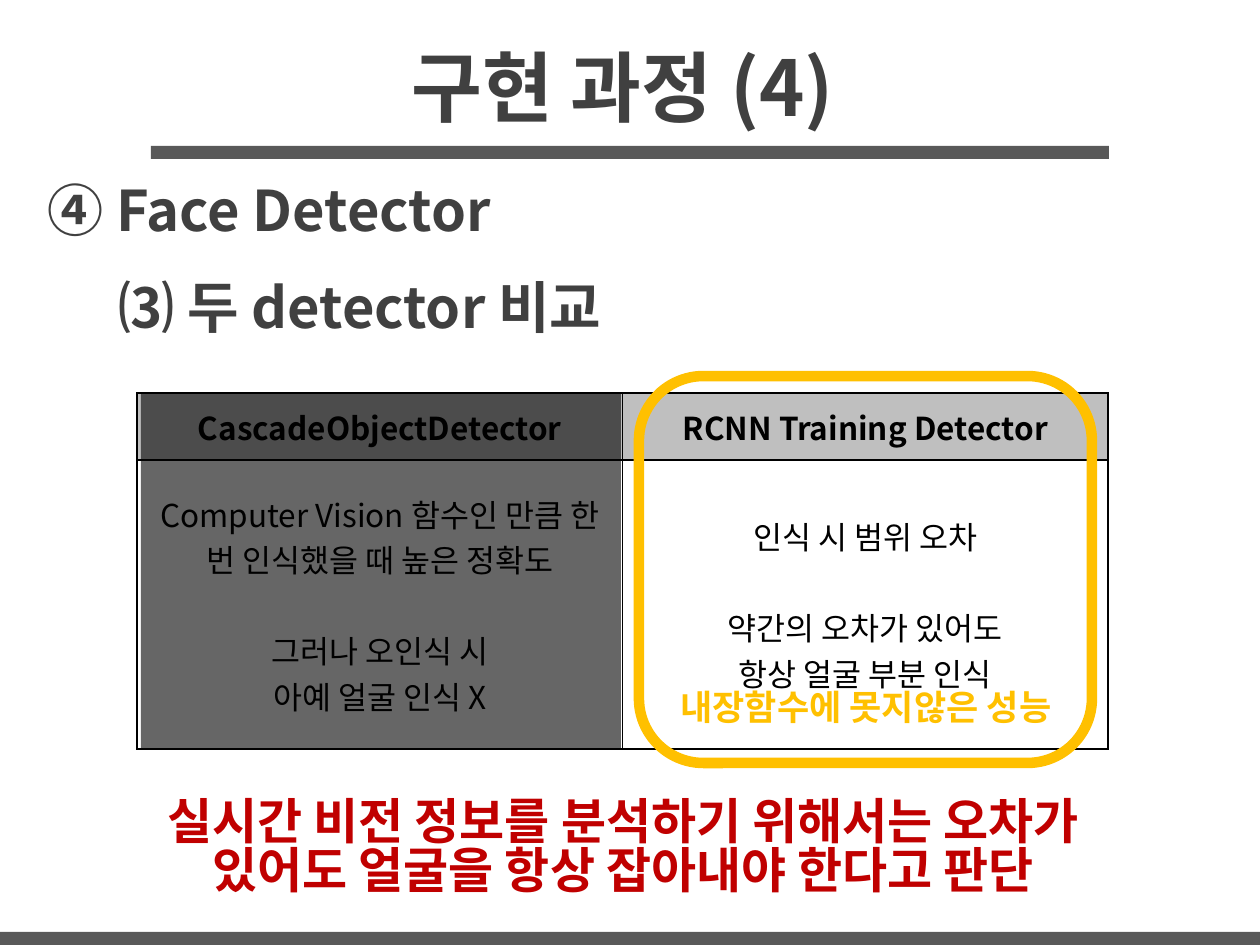
"""Builds the slide that compares two face detectors."""
from lxml import etree
from pptx import Presentation
from pptx.dml.color import RGBColor
from pptx.enum.shapes import MSO_SHAPE
from pptx.enum.text import MSO_ANCHOR, MSO_AUTO_SIZE, PP_ALIGN
from pptx.oxml.ns import qn
from pptx.util import Emu, Pt

SCALE = 914400 / 126
WIDE, HIGH = 1260, 945
FONT = "Noto Sans CJK KR"
RECT, ROUND = MSO_SHAPE.RECTANGLE, MSO_SHAPE.ROUNDED_RECTANGLE
LEFT, CENTER = PP_ALIGN.LEFT, PP_ALIGN.CENTER
MIDDLE = MSO_ANCHOR.MIDDLE
FIXED, GROW = MSO_AUTO_SIZE.NONE, MSO_AUTO_SIZE.SHAPE_TO_FIT_TEXT
BLACK = RGBColor(0x00, 0x00, 0x00)
INK = RGBColor(0x40, 0x40, 0x40)
GRAY = RGBColor(0x59, 0x59, 0x59)
SILVER = RGBColor(0xBF, 0xBF, 0xBF)
RED = RGBColor(0xC0, 0x00, 0x00)
GOLD = RGBColor(0xFF, 0xC0, 0x00)

HEADS = ["CascadeObjectDetector", "RCNN Training Detector"]
NOTES = [
    ["Computer Vision 함수인 만큼 한 번 인식했을 때 높은 정확도",
     "그러나 오인식 시", "아예 얼굴 인식 X"],
    ["인식 시 범위 오차", "약간의 오차가 있어도", "항상 얼굴 부분 인식"],
]


def px(num):
    return Emu(round(num * SCALE))


def write(frame, lines, size=18, color=BLACK, bold=True, align=CENTER,
          lead=None, gaps=None):
    frame.word_wrap = True
    for i, line in enumerate(lines):
        para = frame.paragraphs[0] if i == 0 else frame.add_paragraph()
        para.alignment = align
        para.line_spacing = lead
        if gaps and i in gaps:
            para.space_before = Pt(gaps[i])
        run = para.add_run()
        run.text = line
        font = run.font
        font.size, font.bold, font.name = Pt(size), bold, FONT
        font.color.rgb = color
        etree.SubElement(run._r.get_or_add_rPr(), qn("a:ea"), typeface=FONT)


class Page:
    """Holds the deck and its current slide."""

    def __init__(self):
        self.deck = Presentation()
        self.deck.slide_width, self.deck.slide_height = px(WIDE), px(HIGH)
        self.slide = self.deck.slides.add_slide(self.deck.slide_layouts[5])
        self.shapes = self.slide.shapes

    def title(self, text, x, y, w, h):
        box = self.shapes.title
        box.left, box.top, box.width, box.height = map(px, (x, y, w, h))
        box.text_frame.auto_size = FIXED
        box.text_frame.vertical_anchor = MIDDLE
        write(box.text_frame, [text], size=44, color=INK)

    def text(self, text, x, y, w, h, **style):
        box = self.shapes.add_textbox(*map(px, (x, y, w, h)))
        write(box.text_frame, [text], **style)
        box.text_frame.auto_size = GROW

    def shape(self, kind, x, y, w, h, fill=None, alpha=None, line=None):
        item = self.shapes.add_shape(kind, *map(px, (x, y, w, h)))
        item.shadow.inherit = False
        if fill is None:
            item.fill.background()
        else:
            item.fill.solid()
            item.fill.fore_color.rgb = fill
        if alpha is not None:
            tone = item._element.spPr.find(".//" + qn("a:srgbClr"))
            etree.SubElement(tone, qn("a:alpha"), val=str(alpha * 1000))
        if line is None:
            item.line.fill.background()
        else:
            item.line.color.rgb = line
            item.line.width = Pt(6)

    def edge(self, cell):
        props = cell._tc.get_or_add_tcPr()
        for i, side in enumerate(("lnL", "lnR", "lnT", "lnB")):
            rule = etree.Element(qn("a:" + side), w=str(Pt(1)))
            fill = etree.SubElement(rule, qn("a:solidFill"))
            etree.SubElement(fill, qn("a:srgbClr"), val=str(BLACK))
            props.insert(i, rule)

    def table(self, x, y, w, rows):
        frame = self.shapes.add_table(2, 2, px(x), px(y), px(w), px(sum(rows)))
        grid = frame.table
        grid.first_row = grid.horz_banding = False
        for row, high in zip(grid.rows, rows):
            row.height = px(high)
        for col, (head, notes) in enumerate(zip(HEADS, NOTES)):
            grid.columns[col].width = px(w / 2)
            top, body = grid.cell(0, col), grid.cell(1, col)
            write(top.text_frame, [head])
            write(body.text_frame, notes, bold=False, gaps={1: 26})
            top.fill.solid()
            top.fill.fore_color.rgb = SILVER
            body.fill.background()
            for cell in (top, body):
                cell.vertical_anchor = MIDDLE
                self.edge(cell)


def main():
    page = Page()
    page.title("구현 과정 (4)", 35, 25, 1176, 122)
    page.shape(RECT, 151, 146, 958, 13, fill=GRAY)
    head = dict(size=32, color=INK, align=LEFT, lead=0.88)
    page.text("④ Face Detector", 35, 178, 935, 118, **head)
    page.text("⑶ 두 detector 비교", 106, 275, 936, 81, **head)
    page.table(137, 393, 971, (67, 289))
    page.text("실시간 비전 정보를 분석하기 위해서는 오차가 있어도 "
              "얼굴을 항상 잡아내야 한다고 판단",
              98, 795, 1050, 131, size=28, color=RED, lead=0.82)
    page.shape(RECT, 141, 393, 480, 356, fill=BLACK, alpha=60)
    page.shape(ROUND, 639, 376, 453, 387, line=GOLD)
    page.text("내장함수에 못지않은 성능", 450, 685, 832, 55,
              size=20, color=GOLD, lead=0.88)
    page.shape(RECT, 0, 932, WIDE, 13, fill=GRAY)
    page.deck.save("out.pptx")


if __name__ == "__main__":
    main()
